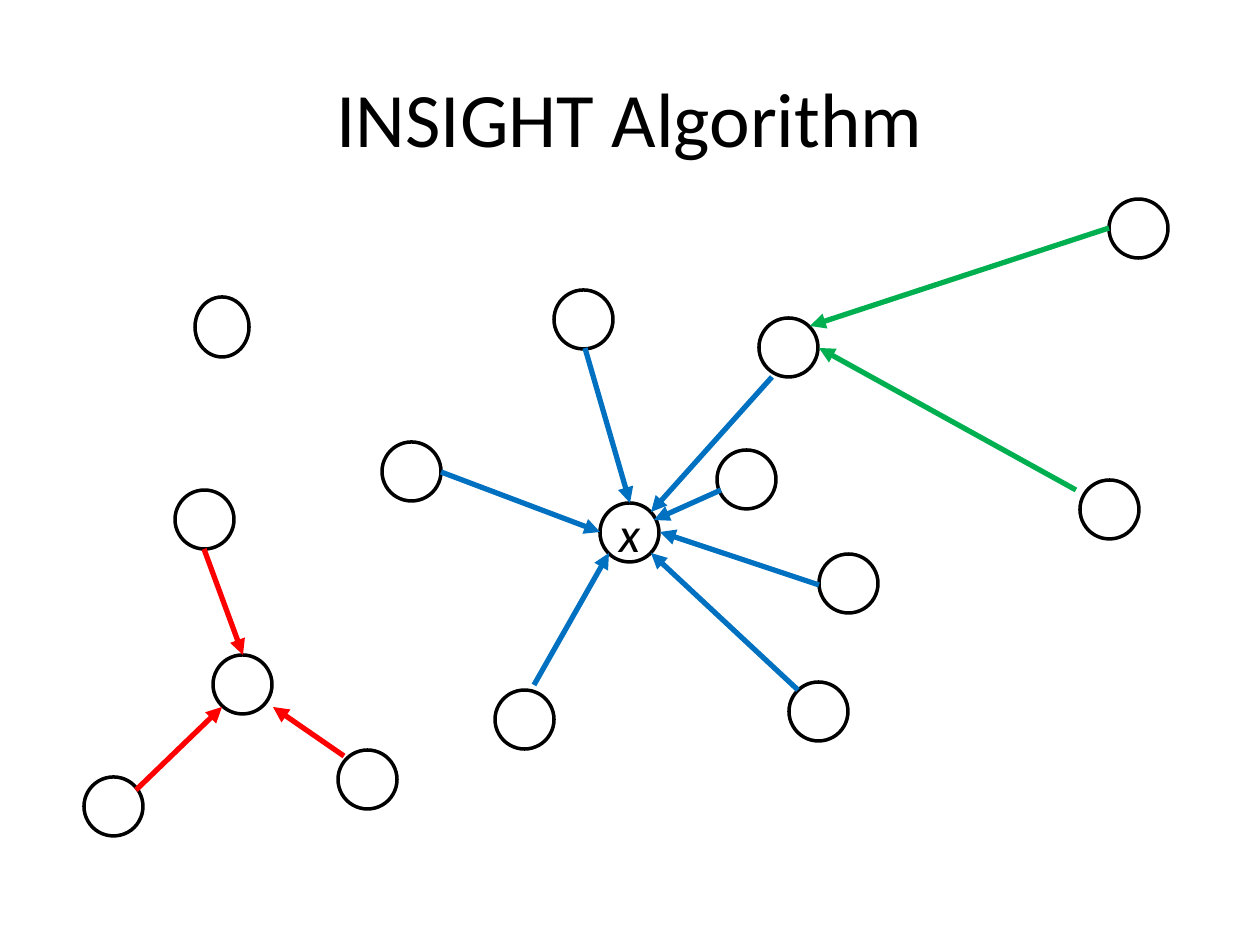
from pptx import Presentation
from pptx.dml.color import RGBColor
from pptx.enum.shapes import MSO_CONNECTOR, MSO_SHAPE
from pptx.enum.text import MSO_ANCHOR, PP_ALIGN
from pptx.oxml.ns import qn
from pptx.util import Pt
from lxml import etree

SCALE = 914400 / 126  # EMU per px
NODE = 59             # node diameter
BLACK, BLUE, RED, GREEN = "000000", "0070C0", "FF0000", "00B050"


def px(n):
    return round(n * SCALE)


def color(code):
    return RGBColor.from_string(code)


def add_run(p, text, size, italic=None):
    r = p.add_run()
    r.text = text
    r.font.name = "Calibri"
    r.font.size = Pt(size)
    r.font.italic = italic
    r.font.color.rgb = color(BLACK)


def add_title(s, text, left, top, width, height):
    sp = s.shapes.title
    sp.left, sp.top, sp.width, sp.height = map(px, (left, top, width, height))
    tf = sp.text_frame
    tf.vertical_anchor = MSO_ANCHOR.MIDDLE
    p = tf.paragraphs[0]
    p.alignment = PP_ALIGN.CENTER
    add_run(p, text, 44)


def add_node(s, left, top, width=NODE, height=NODE, label=None):
    sp = s.shapes.add_shape(MSO_SHAPE.OVAL, *map(px, (left, top, width, height)))
    sp.shadow.inherit = False
    sp.fill.background()
    sp.line.color.rgb = color(BLACK)
    sp.line.width = Pt(2)
    if label:
        tf = sp.text_frame
        tf.word_wrap = False
        tf.vertical_anchor = MSO_ANCHOR.MIDDLE
        p = tf.paragraphs[0]
        p.alignment = PP_ALIGN.CENTER
        add_run(p, label, 28, italic=True)


def add_arrow(s, x1, y1, x2, y2, code):
    cxn = s.shapes.add_connector(MSO_CONNECTOR.STRAIGHT, *map(px, (x1, y1, x2, y2)))
    cxn.line.color.rgb = color(code)
    cxn.line.width = Pt(3)
    etree.SubElement(cxn.line._get_or_add_ln(), qn("a:tailEnd"), type="triangle")
    etree.SubElement(cxn._element.spPr, qn("a:effectLst"))


def add_cluster(s, left, top, code, nodes, arrows):
    """Nodes are (x, y[, label]); arrows are (x1, y1, x2, y2)."""
    for x, y, *label in nodes:
        add_node(s, left + x, top + y, label=label[0] if label else None)
    for x1, y1, x2, y2 in arrows:
        add_arrow(s, left + x1, top + y1, left + x2, top + y2, code)


def main():
    prs = Presentation()
    prs.slide_width, prs.slide_height = px(1260), px(945)
    s = prs.slides.add_slide(prs.slide_layouts[5])
    add_title(s, "INSIGHT Algorithm", 63, 38, 1134, 157)

    # Neighbours of x
    add_cluster(
        s, 382, 290, BLUE,
        [(218, 213, "x"), (172, 0), (113, 400), (0, 152), (377, 28),
         (407, 392), (437, 264), (335, 160)],
        [(59, 182, 218, 242), (152, 395, 227, 263), (203, 58, 248, 213),
         (390, 87, 269, 222), (437, 295, 278, 242), (416, 400, 269, 263),
         (339, 200, 272, 230)])

    # Separate cluster at lower left
    add_cluster(
        s, 84, 490, RED,
        [(129, 165), (0, 287), (254, 260), (91, 0)],
        [(120, 59, 159, 165), (52, 300, 138, 217), (260, 266, 189, 217)])

    # Second-level neighbours at right
    add_cluster(
        s, 810, 199, GREEN,
        [(270, 281), (299, 0)],
        [(266, 291, 9, 149), (299, 29, 0, 127)])

    # Isolated node
    add_node(s, 195, 297, 54, 60)

    prs.save("out.pptx")


if __name__ == "__main__":
    main()
